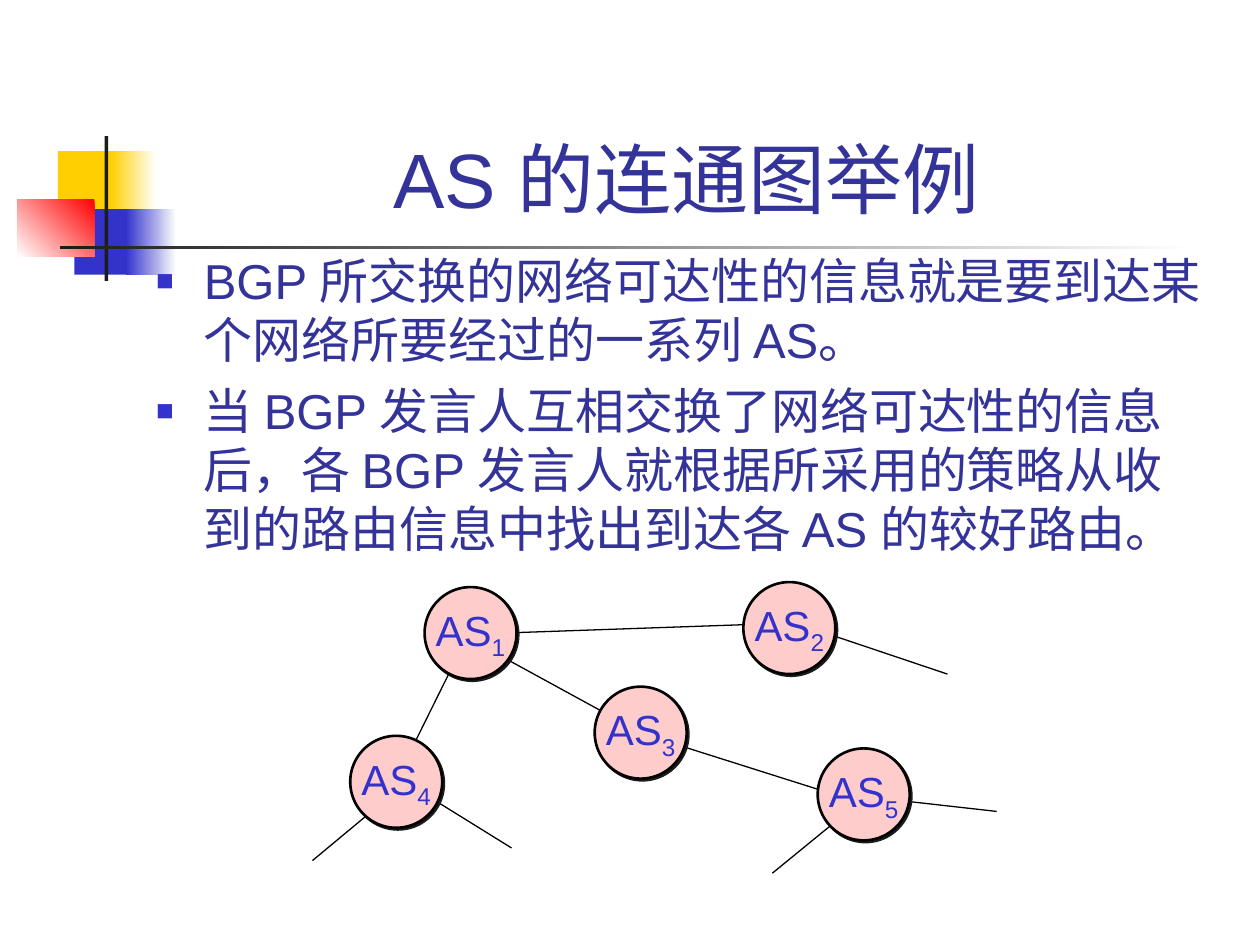
from lxml import etree
from pptx import Presentation
from pptx import util as u
from pptx.dml.color import RGBColor
from pptx.enum import shapes, text
from pptx.oxml import ns

PX = 9144
FONT = "Arial"
NODE = 73


def px(n):
    return u.Emu(n * PX)


def rgb(hex_string):
    return RGBColor.from_string(hex_string)


def sub(parent, tag, **attrs):
    return etree.SubElement(parent, ns.qn(tag), attrs)


def set_font(font, size, color):
    font.name = FONT
    font.size = u.Pt(size)
    font.color.rgb = rgb(color)


def add_block(s, x, y, w, h, colors, angle=180):
    sp = s.shapes.add_shape(shapes.MSO_SHAPE.RECTANGLE, px(x), px(y), px(w), px(h))
    sp.shadow.inherit = False
    sp.line.fill.background()
    if len(colors) == 1:
        sp.fill.solid()
        sp.fill.fore_color.rgb = rgb(colors[0])
        return
    sp.fill.gradient()
    sp.fill.gradient_angle = angle
    for stop, color in zip(sp.fill.gradient_stops, colors):
        stop.color.rgb = rgb(color)


def add_ornament(s, x, y):
    add_block(s, x + 32, y + 12, 48, 52, ["FFCF01"])
    add_block(s, x + 74, y + 12, 36, 52, ["FFFFFF", "FFCF01"])
    add_block(s, x + 45, y + 58, 46, 52, ["3333CC"])
    add_block(s, x + 86, y + 58, 40, 52, ["FFFFFF", "3333CC"])
    add_block(s, x, y + 50, 61, 46, ["FF0000", "FFFFFF"], 225)
    add_block(s, x + 69, y, 3, 115, ["1C1C1C"])
    add_block(s, x + 34, y + 87, 900, 3, ["FFFFFF", "1C1C1C"])


def add_title(s, x, y, w, h, words):
    sp = s.shapes.title
    sp.left, sp.top, sp.width, sp.height = px(x), px(y), px(w), px(h)
    tf = sp.text_frame
    tf.auto_size = text.MSO_AUTO_SIZE.NONE
    tf.vertical_anchor = text.MSO_ANCHOR.BOTTOM
    tf.text = words
    p = tf.paragraphs[0]
    p.alignment = text.PP_ALIGN.CENTER
    set_font(p.font, 44, "333399")


def add_bullets(s, x, y, w, h, items):
    tf = s.shapes.add_textbox(px(x), px(y), px(w), px(h)).text_frame
    tf.word_wrap = True
    for i, item in enumerate(items):
        p = tf.add_paragraph() if i else tf.paragraphs[0]
        p.text = item
        pPr = p._p.get_or_add_pPr()
        pPr.set("marL", str(px(38)))
        pPr.set("indent", str(px(-38)))
        sub(sub(pPr, "a:buClr"), "a:srgbClr", val="3333CC")
        sub(pPr, "a:buSzPct", val="60000")
        sub(pPr, "a:buFont", typeface=FONT)
        sub(pPr, "a:buChar", char="■")
        if i:
            p.space_before = u.Pt(7)
        set_font(p.font, 28, "333399")


def add_link(s, x1, y1, x2, y2):
    c = s.shapes.add_connector(
        shapes.MSO_CONNECTOR.STRAIGHT, px(x1), px(y1), px(x2), px(y2))
    c.line.color.rgb = rgb("000000")
    c.line.width = u.Pt(0.75)
    sub(c._element.spPr, "a:effectLst")


def add_node(s, x, y, number):
    sp = s.shapes.add_shape(shapes.MSO_SHAPE.OVAL, px(x), px(y), px(NODE), px(NODE))
    sp.fill.solid()
    sp.fill.fore_color.rgb = rgb("FFCCCC")
    sp.line.color.rgb = rgb("000000")
    sp.line.width = u.Pt(1.5)
    sp.shadow.inherit = False
    effects = sp._element.spPr.find(ns.qn("a:effectLst"))
    shadow = sub(effects, "a:outerShdw", dist=str(u.Pt(1.4)), dir="2700000",
                 algn="ctr", rotWithShape="0")
    sub(shadow, "a:srgbClr", val="1C1C1C")
    tf = sp.text_frame
    tf.word_wrap = False
    tf.vertical_anchor = text.MSO_ANCHOR.MIDDLE
    p = tf.paragraphs[0]
    p.alignment = text.PP_ALIGN.CENTER
    p.add_run().text = "AS"
    r = p.add_run()
    r.text = str(number)
    r._r.get_or_add_rPr().set("baseline", "-25000")
    set_font(p.font, 24, "3333CC")


def add_graph(s, x, y):
    links = [
        (79, 162, 158, 211), (59, 172, 0, 221), (425, 182, 365, 231),
        (135, 41, 365, 33), (385, 33, 504, 73), (130, 48, 247, 112),
        (267, 122, 425, 172), (454, 172, 543, 182), (69, 152, 118, 53),
    ]
    nodes = [(89, 4), (342, 0), (224, 83), (30, 122), (401, 132)]
    for x1, y1, x2, y2 in links:
        add_link(s, x + x1, y + y1, x + x2, y + y2)
    for number, (dx, dy) in enumerate(nodes, 1):
        add_node(s, x + dx, y + dy, number)


def main():
    prs = Presentation()
    prs.slide_width, prs.slide_height = px(1000), px(750)
    s = prs.slides.add_slide(prs.slide_layouts[5])
    add_ornament(s, 14, 108)
    add_title(s, 126, 23, 852, 160, "AS 的连通图举例 ")
    add_bullets(s, 114, 194, 850, 284, [
        "BGP 所交换的网络可达性的信息就是要到达某个网络所要经过的一系列 AS。",
        "当 BGP 发言人互相交换了网络可达性的信息后，各 BGP 发言人就根据所采用的策略"
        "从收到的路由信息中找出到达各 AS 的较好路由。",
    ])
    add_graph(s, 248, 462)
    prs.save("out.pptx")


if __name__ == "__main__":
    main()
